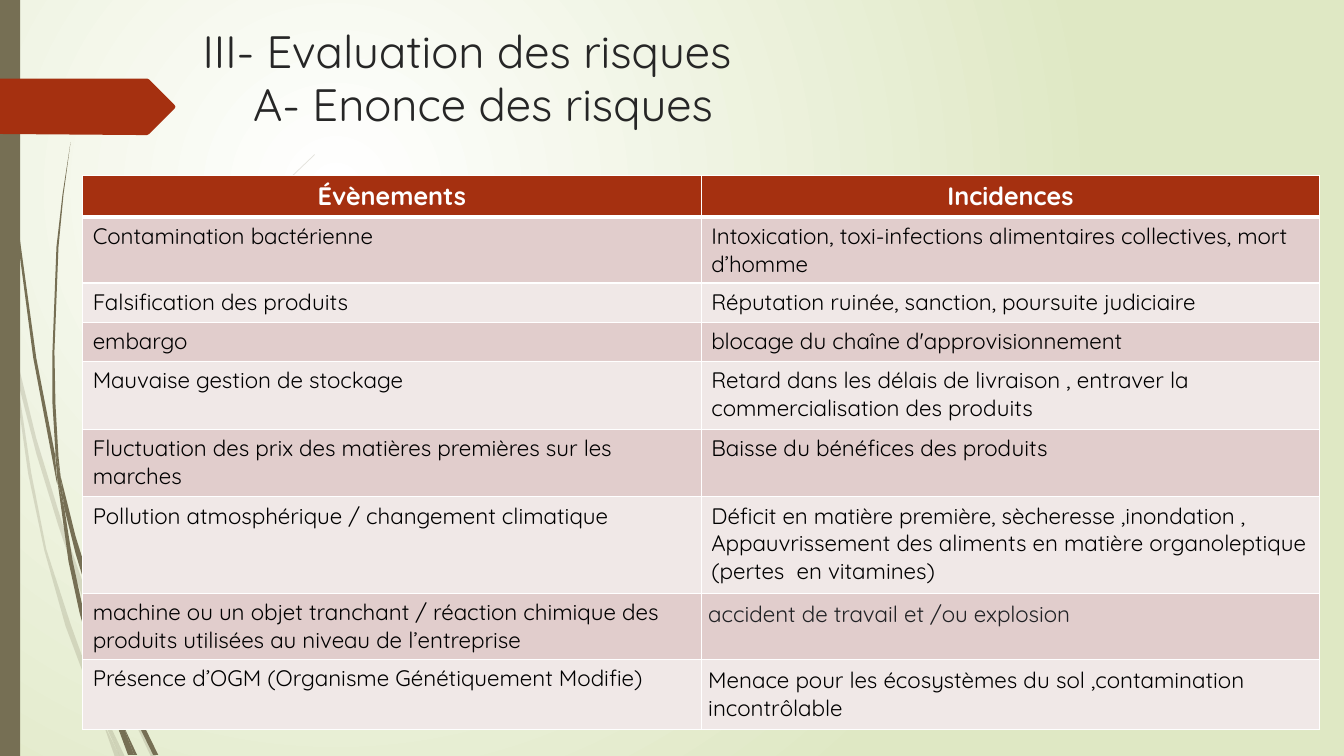
from lxml.etree import SubElement
from pptx import Presentation
from pptx.dml.color import RGBColor
from pptx.enum.shapes import MSO_SHAPE
from pptx.enum.text import MSO_ANCHOR, MSO_AUTO_SIZE, PP_ALIGN
from pptx.oxml.ns import qn
from pptx.util import Inches, Pt

WHITE = RGBColor(0xFF, 0xFF, 0xFF)
BLACK = RGBColor(0x00, 0x00, 0x00)
LEAF = RGBColor(0xDF, 0xE8, 0xC4)
OLIVE = RGBColor(0x76, 0x6F, 0x54)
RUST = RGBColor(0xA5, 0x30, 0x10)
ROSE = RGBColor(0xE1, 0xCD, 0xCC)
PALE = RGBColor(0xF0, 0xE8, 0xE7)
CHARCOAL = RGBColor(0x26, 0x26, 0x26)
INK = RGBColor(0x20, 0x21, 0x24)

COLUMNS, ROWS = 1333, 750

FADED_STEMS = [
    [(11, 350), (9, 322), (0, 282), (0, 299), (10, 344)],
    [(58, 522), (84, 599), (85, 586), (62, 520), (36, 435), (14, 345), (17, 376), (36, 450)],
    [(92, 607), (88, 596), (88, 610), (123, 694), (150, 751), (155, 751), (127, 692)],
    [(119, 751), (124, 751), (105, 711)],
    [(93, 683), (70, 619), (46, 545), (31, 469), (17, 376), (11, 350), (28, 470),
     (44, 546), (65, 621), (92, 693), (101, 714), (99, 707)],
    [(84, 599), (87, 646), (93, 683), (96, 692), (105, 711), (103, 706), (91, 646),
     (88, 610), (88, 608)],
    [(88, 584), (96, 522), (110, 462), (132, 405), (160, 349), (192, 296), (229, 245),
     (268, 198), (290, 175), (312, 154), (312, 153), (289, 175), (268, 197), (228, 244),
     (191, 294), (158, 348), (130, 403), (107, 461), (92, 521), (85, 584), (85, 586), (88, 596)],
    [(101, 714), (114, 751), (119, 751)],
    [(88, 608), (88, 596), (85, 586), (84, 599)],
    [(96, 692), (93, 683), (99, 707), (119, 751), (105, 711)],
]
DARK_STEMS = [
    [(7, 110), (17, 233), (33, 355), (56, 477), (57, 481), (55, 457), (55, 453), (36, 355),
     (19, 232), (8, 109), (5, 48), (4, 0), (3, 0), (4, 48)],
    [(88, 592), (106, 645), (106, 631), (93, 590), (75, 532), (60, 472), (64, 505), (75, 549)],
    [(113, 649), (110, 641), (111, 656), (132, 708), (152, 749), (157, 749), (136, 706)],
    [(110, 691), (98, 657), (83, 607), (72, 556), (64, 505), (57, 477), (68, 557),
     (79, 608), (93, 659), (111, 708), (117, 722), (116, 717)],
    [(60, 472), (58, 453), (55, 401), (54, 349), (58, 245), (63, 193), (70, 141), (62, 193),
     (56, 245), (52, 349), (52, 400), (55, 449)],
    [(133, 749), (136, 749), (122, 719)],
    [(57, 477), (64, 505), (60, 472), (55, 449), (55, 453)],
    [(111, 633), (115, 592), (125, 552), (140, 513), (158, 476), (180, 440), (205, 406),
     (231, 374), (245, 359), (261, 344), (260, 344), (245, 358), (231, 373), (204, 405),
     (178, 439), (156, 474), (137, 512), (122, 551), (111, 591), (106, 631), (110, 641)],
    [(117, 722), (127, 749), (131, 749)],
    [(106, 645), (110, 691), (116, 706), (122, 719), (121, 716), (111, 656), (109, 651)],
    [(106, 645), (109, 651), (111, 656), (110, 641), (106, 631)],
    [(116, 706), (110, 691), (116, 717), (117, 722), (130, 749), (133, 749), (122, 719)],
]
ARROW = [(0, 78), (146, 78), (148, 79), (173, 104), (174, 106), (173, 108), (148, 133),
         (146, 134), (136, 134), (0, 133)]

RISKS = [
    ("Évènements", "Incidences"),
    ("Contamination bactérienne",
     "Intoxication, toxi-infections alimentaires collectives, mort d’homme"),
    ("Falsification des produits", "Réputation ruinée, sanction, poursuite judiciaire"),
    ("embargo", "blocage du chaîne d'approvisionnement"),
    ("Mauvaise gestion de stockage",
     "Retard dans les délais de livraison , entraver la commercialisation des produits"),
    ("Fluctuation des prix des matières premières sur les marches",
     "Baisse du bénéfices des produits"),
    ("Pollution atmosphérique / changement climatique",
     "Déficit en matière première, sècheresse ,inondation , Appauvrissement des aliments "
     "en matière organoleptique (pertes  en vitamines)"),
    ("machine ou un objet tranchant / réaction chimique des produits utilisées au niveau "
     "de l’entreprise", "accident de travail et /ou explosion"),
    ("Présence d’OGM (Organisme Génétiquement Modifie)",
     "Menace pour les écosystèmes du sol ,contamination incontrôlable"),
]
RISK_HEIGHTS = [39, 62, 39, 39, 67, 67, 96, 62, 69]


def write(para, text, size=16, color=BLACK, bold=False, align=PP_ALIGN.LEFT,
          font="Quicksand", before=0, after=0, spacing=None):
    para.alignment = align
    para.space_before, para.space_after = Pt(before), Pt(after)
    para.line_spacing = spacing
    for number, line in enumerate(text.split("\n")):
        if number:
            para.add_line_break()
        span = para.add_run()
        span.text = line
        span.font.name, span.font.size, span.font.bold = font, Pt(size), bold
        span.font.color.rgb = color


class RiskPage:
    """Holds the style of the current slide and draws its elements on a fine grid."""

    def __init__(self, deck):
        self.page = deck.slides.add_slide(deck.slide_layouts[5])
        self.column = deck.slide_width / COLUMNS
        self.row = deck.slide_height / ROWS

    def place(self, left, top, width, height):
        return (round(left * self.column), round(top * self.row),
                round(width * self.column), round(height * self.row))

    def background(self, center, edge):
        fill = self.page.background.fill
        fill.gradient()
        for stop, color, position in zip(fill.gradient_stops, (center, edge), (0, 1)):
            stop.color.rgb, stop.position = color, position
        gradient = self.page.element.find(".//" + qn("a:gradFill"))
        gradient.remove(gradient.find(qn("a:lin")))
        circle = SubElement(gradient, qn("a:path"), path="circle")
        SubElement(circle, qn("a:fillToRect"), l="50000", t="50000", r="100000", b="100000")

    def paint(self, shape, color, opacity=100):
        shape.shadow.inherit = False
        shape.fill.solid()
        shape.fill.fore_color.rgb = color
        shape.line.fill.background()
        if opacity < 100:
            tone = shape.element.spPr.find(".//" + qn("a:srgbClr"))
            SubElement(tone, qn("a:alpha"), val=str(opacity * 1000))

    def bar(self, *area, color):
        self.paint(self.page.shapes.add_shape(MSO_SHAPE.RECTANGLE, *self.place(*area)), color)

    def outline(self, shapes, points, color, opacity=100):
        builder = shapes.build_freeform(*points[0], scale=(self.column, self.row))
        builder.add_line_segments(points[1:], close=True)
        self.paint(builder.convert_to_shape(), color, opacity)

    def plant(self, stems, color, opacity=100):
        group = self.page.shapes.add_group_shape()
        for stem in stems:
            self.outline(group.shapes, stem, color, opacity)

    def title(self, text, *area):
        box = self.page.shapes.title
        box.left, box.top, box.width, box.height = self.place(*area)
        frame = box.text_frame
        frame.auto_size, frame.word_wrap = MSO_AUTO_SIZE.NONE, True
        frame.vertical_anchor = MSO_ANCHOR.TOP
        para = frame.paragraphs[0]
        write(para, text, size=32.4, color=CHARCOAL, spacing=0.97)
        tabs = SubElement(para._p.get_or_add_pPr(), qn("a:tabLst"))
        SubElement(tabs, qn("a:tab"), pos=str(Inches(0.5)), algn="l")

    def border(self, cell, **widths):
        properties = cell._tc.get_or_add_tcPr()
        for side in "LRTB":
            line = SubElement(properties, qn("a:ln" + side), w=str(Pt(widths.get(side, 1))))
            SubElement(SubElement(line, qn("a:solidFill")), qn("a:srgbClr"), val=str(WHITE))

    def cell(self, cell, text, row, column):
        self.border(cell, B=3 if row == 0 else 1, T=3 if row == 1 else 1)
        cell.fill.solid()
        cell.fill.fore_color.rgb = RUST if row == 0 else (PALE, ROSE)[row % 2]
        style = {}
        if row == 0:
            style = dict(size=18, color=WHITE, bold=True, align=PP_ALIGN.CENTER)
        elif row >= 7 and column == 1:
            style = dict(before=12, after=10, color=INK if row == 7 else BLACK)
            cell.margin_left = cell.margin_right = Inches(0.07)
            cell.margin_top = cell.margin_bottom = Inches(0.07)
        write(cell.text_frame.paragraphs[0], text, **style)

    def table(self, records, heights, left, top, width):
        area = self.place(left, top, width, sum(heights))
        table = self.page.shapes.add_table(len(records), len(records[0]), *area).table
        for row, (record, height) in enumerate(zip(records, heights)):
            table.rows[row].height = round(height * self.row)
            for column, text in enumerate(record):
                self.cell(table.cell(row, column), text, row, column)


def main():
    deck = Presentation()
    deck.slide_width, deck.slide_height = Inches(13.33), Inches(7.5)
    risks = RiskPage(deck)
    risks.background(WHITE, LEAF)
    risks.plant(FADED_STEMS, OLIVE, opacity=20)
    risks.plant(DARK_STEMS, OLIVE)
    risks.bar(0, 0, 20, ROWS, color=OLIVE)
    risks.outline(risks.page.shapes, ARROW, RUST)
    risks.title("III- Evaluation des risques\n\tA- Enonce des risques", 191, 21, 1100, 85)
    risks.table(RISKS, RISK_HEIGHTS, 82, 174, 1227)
    deck.save("out.pptx")


if __name__ == "__main__":
    main()
